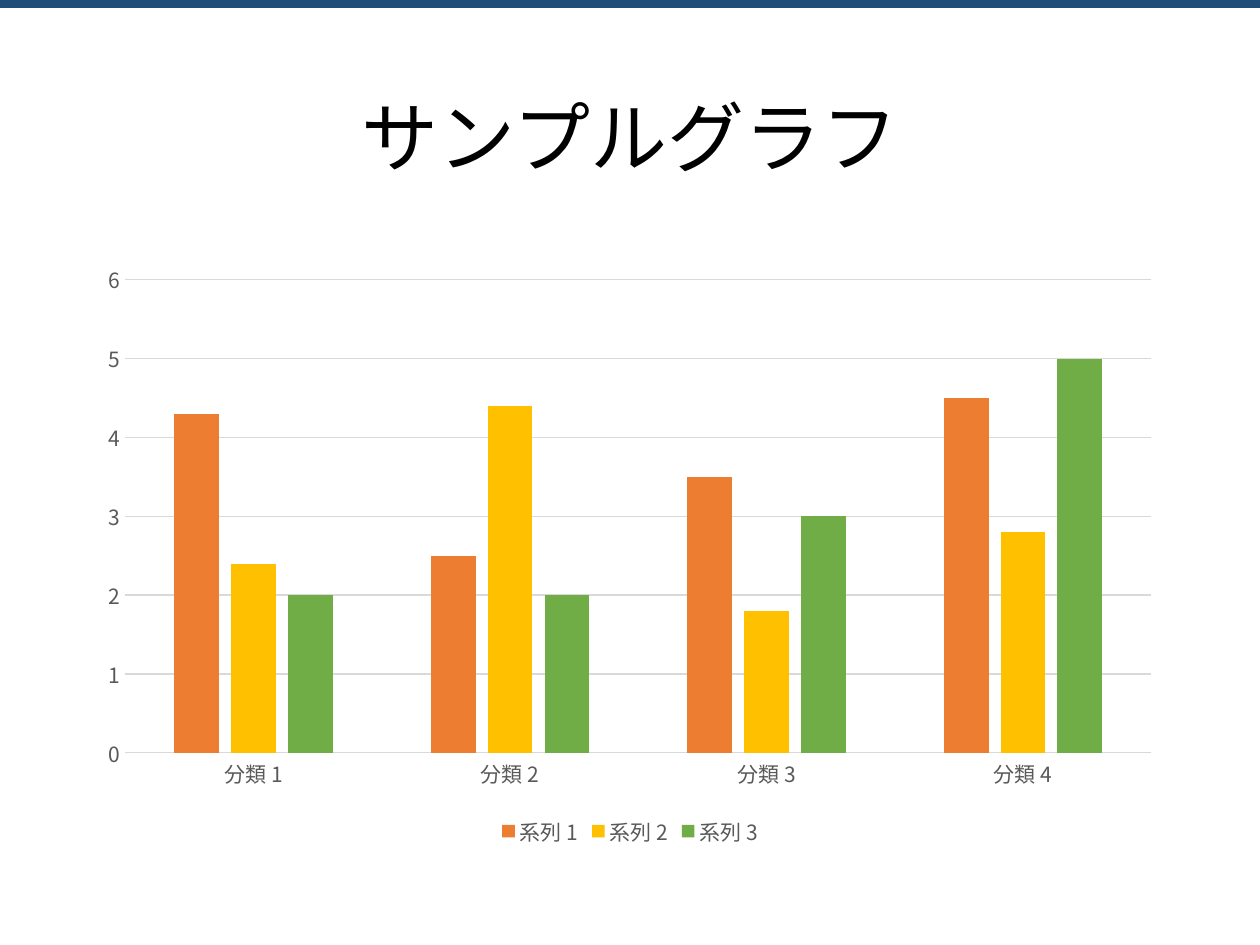
"""Build a slide with a title and a clustered column chart."""
from dataclasses import dataclass

from lxml.etree import Element
from pptx import Presentation
from pptx.chart.data import CategoryChartData
from pptx.dml.color import RGBColor
from pptx.enum.chart import XL_CHART_TYPE, XL_LEGEND_POSITION, XL_TICK_MARK
from pptx.enum.shapes import MSO_SHAPE
from pptx.enum.text import MSO_ANCHOR, PP_ALIGN
from pptx.oxml.ns import qn
from pptx.util import Emu, Pt


@dataclass(frozen=True)
class Theme:
    """Colours, typeface and type sizes of the slide."""

    font: str = "Noto Sans CJK JP"
    band: str = "1F4E79"
    text: str = "000000"
    label: str = "595959"
    rule: str = "D9D9D9"
    series: tuple = ("ED7D31", "FFC000", "70AD47")
    title_size: int = 44
    chart_size: int = 10
    label_size: int = 12
    rule_width: float = 0.75


def px(length):
    """Turn pixels at 126 to the inch into EMU."""
    return Emu(round(length * 914400 / 126))


def style_font(font, size, color):
    """Set typeface, size and colour of a font."""
    font.name = theme.font
    font.size = Pt(size)
    font.color.rgb = RGBColor.from_string(color)


theme = Theme()
presentation = Presentation()
presentation.slide_width, presentation.slide_height = px(1260), px(945)
slide = presentation.slides.add_slide(presentation.slide_layouts[5])

band = slide.shapes.add_shape(MSO_SHAPE.RECTANGLE, 0, 0, px(1260), px(8))
band.shadow.inherit = False
band.fill.solid()
band.fill.fore_color.rgb = RGBColor.from_string(theme.band)
band.line.fill.background()

title = slide.shapes.title
title.left, title.top, title.width, title.height = px(87), px(50), px(1086), px(183)
title.text_frame.text = "サンプルグラフ"
title.text_frame.word_wrap = True
title.text_frame.vertical_anchor = MSO_ANCHOR.MIDDLE
paragraph = title.text_frame.paragraphs[0]
paragraph.alignment = PP_ALIGN.CENTER
paragraph.line_spacing = 0.9
style_font(paragraph.runs[0].font, theme.title_size, theme.text)

chart_data = CategoryChartData()
chart_data.categories = ["分類 1", "分類 2", "分類 3", "分類 4"]
chart_data.add_series("系列 1", (4.3, 2.5, 3.5, 4.5))
chart_data.add_series("系列 2", (2.4, 4.4, 1.8, 2.8))
chart_data.add_series("系列 3", (2, 2, 3, 5))
chart = slide.shapes.add_chart(
    XL_CHART_TYPE.COLUMN_CLUSTERED, px(87), px(252), px(1086), px(600), chart_data
).chart
chart.has_title = False
style_font(chart.font, theme.chart_size, theme.text)

plot = chart.plots[0]
plot.vary_by_categories = False
plot.gap_width = 219
plot.overlap = -27
for series, color in zip(plot.series, theme.series):
    series.format.fill.solid()
    series.format.fill.fore_color.rgb = RGBColor.from_string(color)
    series.format.line.fill.background()

chart.has_legend = True
chart.legend.position = XL_LEGEND_POSITION.BOTTOM
chart.legend.include_in_layout = False
style_font(chart.legend.font, theme.label_size, theme.label)

for axis in (chart.category_axis, chart.value_axis):
    axis.major_tick_mark = XL_TICK_MARK.NONE
    axis.minor_tick_mark = XL_TICK_MARK.NONE
    style_font(axis.tick_labels.font, theme.label_size, theme.label)

chart.value_axis.minimum_scale = 0
chart.value_axis.maximum_scale = 6
chart.value_axis.major_unit = 1
chart.value_axis.has_major_gridlines = True
chart.value_axis.format.line.fill.background()
for ruled in (chart.category_axis, chart.value_axis.major_gridlines):
    ruled.format.line.color.rgb = RGBColor.from_string(theme.rule)
    ruled.format.line.width = Pt(theme.rule_width)

for root in (title.element, chart.element):
    for latin in list(root.iter(qn("a:latin"))):
        latin.addnext(Element(qn("a:ea"), typeface=theme.font))

presentation.save("out.pptx")
